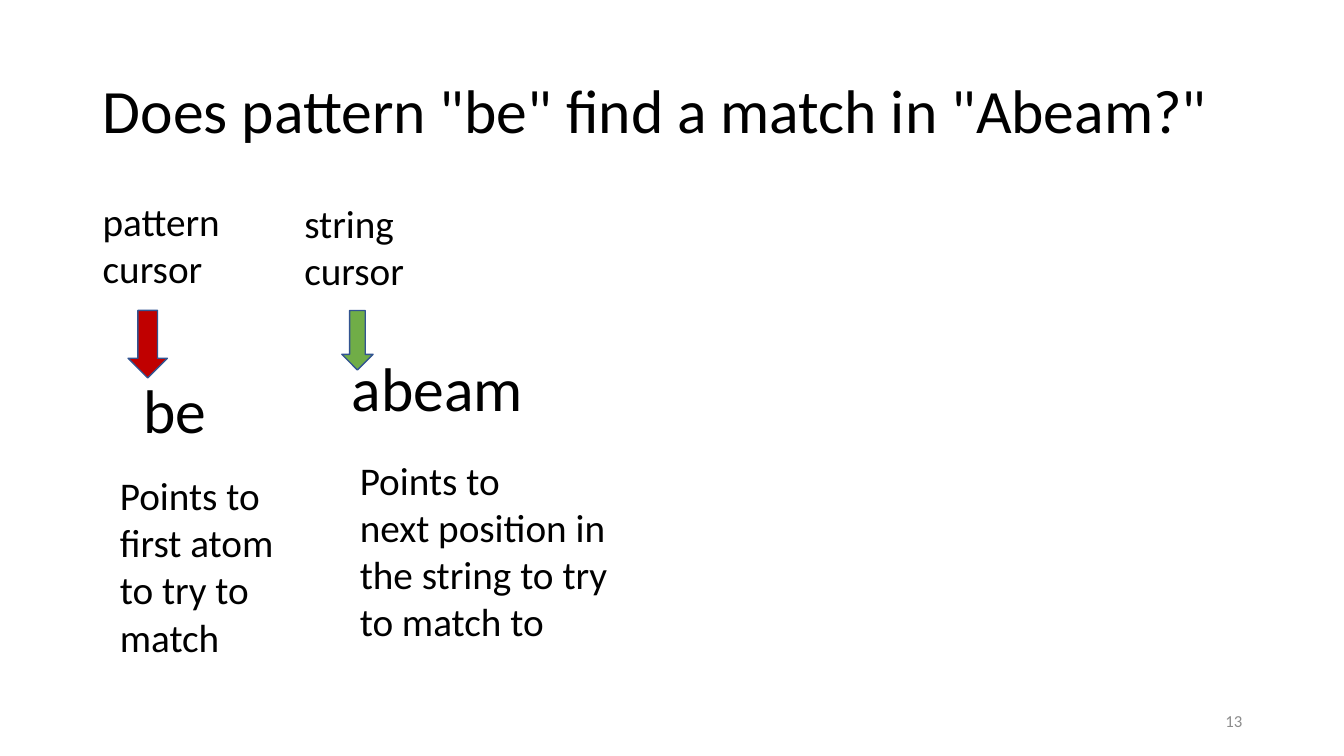
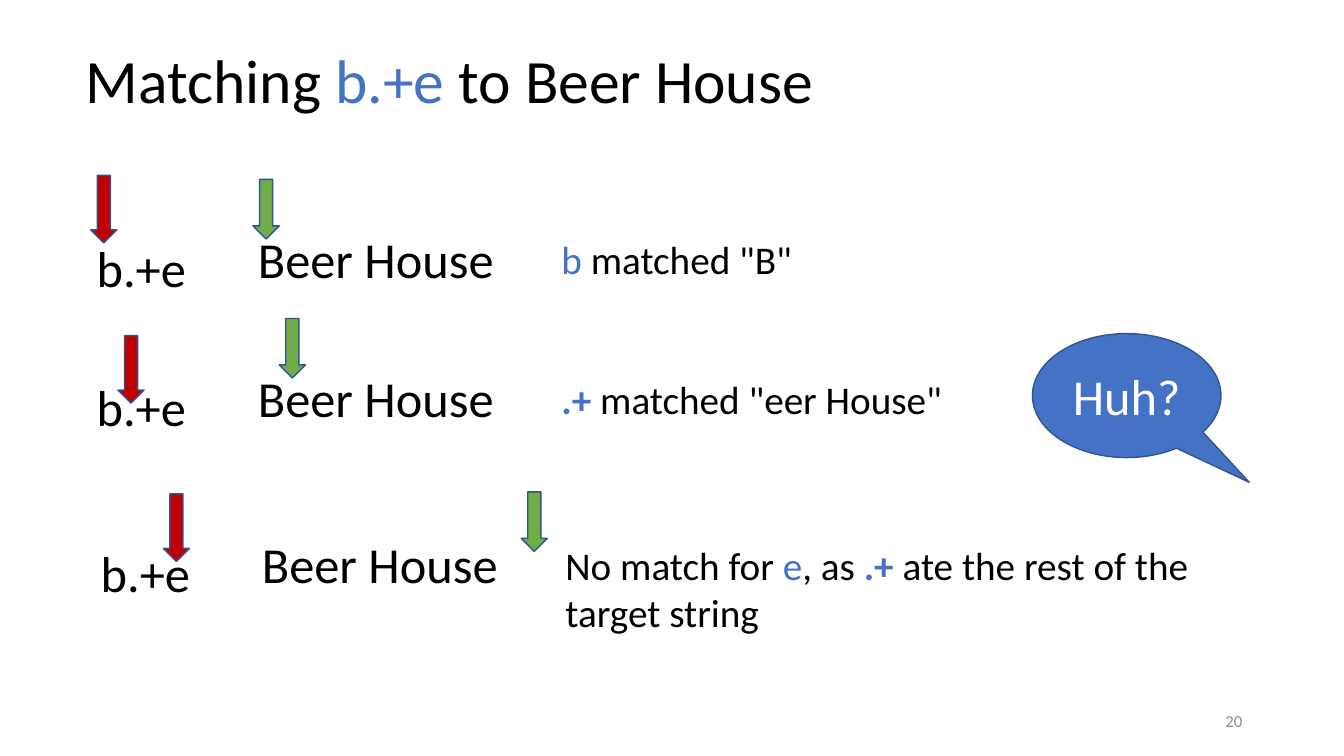
import pptx
import pptx.util
import pptx.dml.color
import pptx.enum.shapes
import pptx.enum.text

Inches = pptx.util.Inches
Pt = pptx.util.Pt
SHAPE = pptx.enum.shapes.MSO_SHAPE
ALIGN = pptx.enum.text.PP_ALIGN
ANCHOR = pptx.enum.text.MSO_ANCHOR
RGB = pptx.dml.color.RGBColor.from_string

COLORS = {"ink": "000000", "blue": "4472C4", "red": "C00000", "green": "70AD47",
          "edge": "325491", "gray": "8C8C8C", "white": "FFFFFF"}
FONT = "Calibri"


def write(shape, parts, size, align=ALIGN.LEFT, anchor=ANCHOR.TOP):
    """Fill a shape with runs given as (text, color, bold)."""
    frame = shape.text_frame
    frame.word_wrap = True
    frame.auto_size = pptx.enum.text.MSO_AUTO_SIZE.NONE
    frame.vertical_anchor = anchor
    para = frame.paragraphs[0]
    para.alignment = align
    for text, color, bold in parts:
        for i, line in enumerate(text.split("\n")):
            if i:
                para.add_line_break()
            run = para.add_run()
            run.text = line
            run.font.name = FONT
            run.font.size = Pt(size)
            run.font.bold = bold
            run.font.color.rgb = RGB(COLORS[color])


def draw(shapes, kind, box, fill):
    """Add an outlined preset shape at box (left, top, width, height)."""
    shape = shapes.add_shape(kind, *map(Inches, box))
    shape.shadow.inherit = False
    shape.fill.solid()
    shape.fill.fore_color.rgb = RGB(COLORS[fill])
    shape.line.color.rgb = RGB(COLORS["edge"])
    shape.line.width = Pt(1)
    return shape


deck = pptx.Presentation()
deck.slide_width, deck.slide_height = Inches(13.33), Inches(7.5)

# Titles and page numbers
heads = [
    (0.92, 0.4, "13", [('Does pattern "be" find a match in "Abeam?"', "ink", False)]),
    (0.75, 0.1, "20", [("Matching ", "ink", False), ("b.+e ", "blue", False),
                       ("to Beer House", "ink", False)]),
]
slides = []
for left, top, page, parts in heads:
    slide = deck.slides.add_slide(deck.slide_layouts[5])
    title = slide.shapes.title
    title.left, title.top = Inches(left), Inches(top)
    title.width, title.height = Inches(11.5), Inches(1.45)
    write(title, parts, 44, anchor=ANCHOR.MIDDLE)
    title.text_frame.paragraphs[0].line_spacing = 0.9
    number = slide.shapes.add_textbox(Inches(9.42), Inches(6.95), Inches(3), Inches(0.4))
    write(number, [(page, "gray", False)], 12, ALIGN.RIGHT, ANCHOR.MIDDLE)
    slides.append(slide)
cursor, match = slides

# Slide 1: the two cursors
draw(cursor.shapes, SHAPE.DOWN_ARROW, (1.27, 3.08, 0.39, 0.67), "red")
draw(cursor.shapes, SHAPE.DOWN_ARROW, (3.39, 3.08, 0.31, 0.59), "green")
labels = [
    ((1.32, 3.64, 1.18, 0.84), 44, "be"),
    ((3.39, 3.42, 2.1, 0.84), 44, "abeam"),
    ((2.92, 1.93, 1.56, 1.04), 28, "string\ncursor"),
    ((0.92, 1.91, 1.5, 1.06), 28, "pattern\ncursor"),
    ((1.09, 4.63, 1.82, 1.99), 28, "Points to\nfirst atom\nto try to \nmatch"),
    ((3.47, 4.48, 2.85, 1.99), 28,
     "Points to\nnext position in the string to try to match to"),
]
for box, size, text in labels:
    label = cursor.shapes.add_textbox(*map(Inches, box))
    write(label, [(text, "ink", False)], size)

# Slide 2: row left and top, red arrow, green arrow, note height and note
steps = [
    (0.86, 2.3, (0.9, 1.74), (2.51, 1.78), 0.57,
     [("b", "blue", False), (' matched "B" ', "ink", False)]),
    (0.86, 3.68, (1.17, 3.33), (2.77, 3.16), 0.91,
     [(".+", "blue", True), (' matched "eer House"', "ink", False)]),
    (0.9, 5.33, (1.62, 4.9), (5.17, 4.88), 1.38,
     [("No match for ", "ink", False), ("e", "blue", False), (", as ", "ink", False),
      (".+", "blue", True), (" ate the rest of the target string", "ink", False)]),
]
for left, top, red, green, tall, note in steps:
    row = match.shapes.add_group_shape().shapes
    cells = [
        ((left, top, 1.16, 0.71), 36, [("b.+e", "ink", False)]),
        ((left + 1.6, top - 0.09, 2.85, 0.71), 36, [("Beer House", "ink", False)]),
        ((left + 4.61, top - 0.01, 6.39, tall), 28, note),
    ]
    for box, size, parts in cells:
        write(row.add_textbox(*map(Inches, box)), parts, size)
    draw(row, SHAPE.DOWN_ARROW, (*red, 0.26, 0.67), "red")
    draw(row, SHAPE.DOWN_ARROW, (*green, 0.26, 0.59), "green")

bubble = draw(match.shapes, SHAPE.OVAL_CALLOUT, (10.24, 3.31, 1.87, 1.23), "blue")
bubble.adjustments[0], bubble.adjustments[1] = 0.65, 0.7
write(bubble, [("Huh?", "white", False)], 36, ALIGN.CENTER, ANCHOR.MIDDLE)

deck.save("out.pptx")
